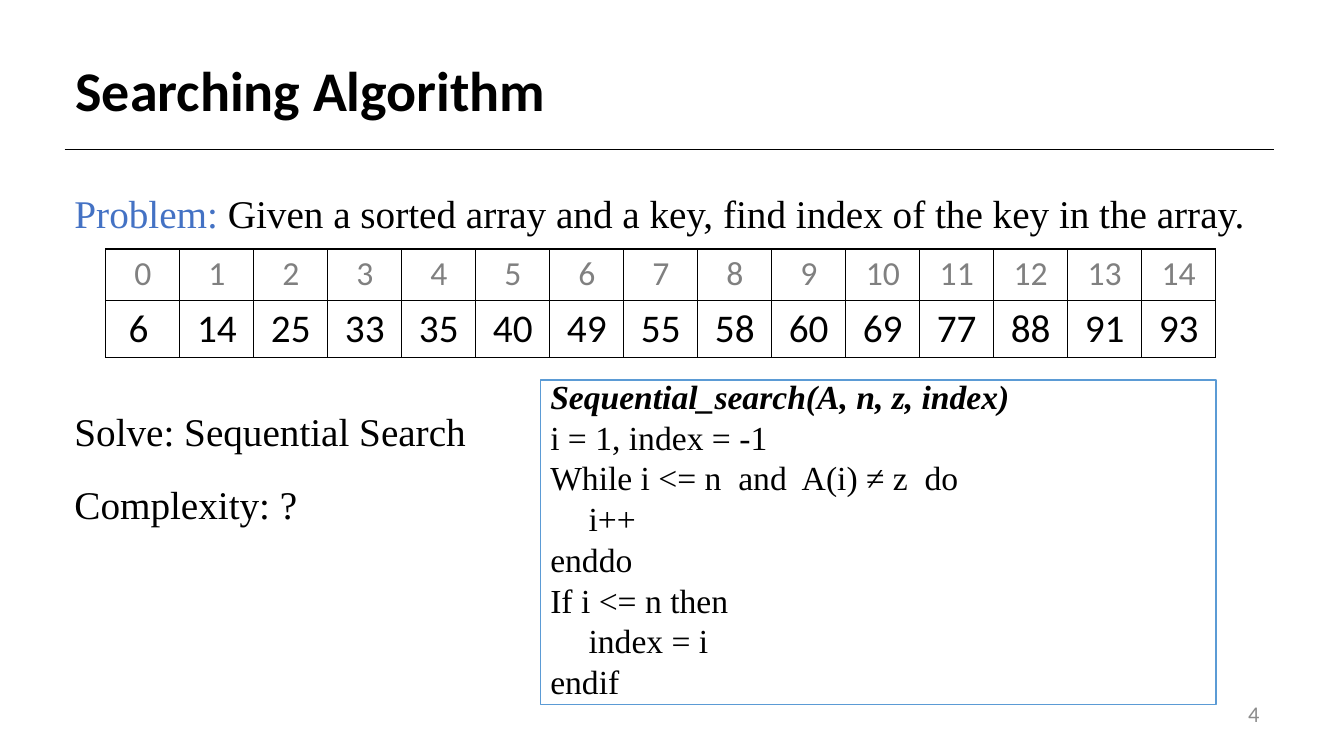
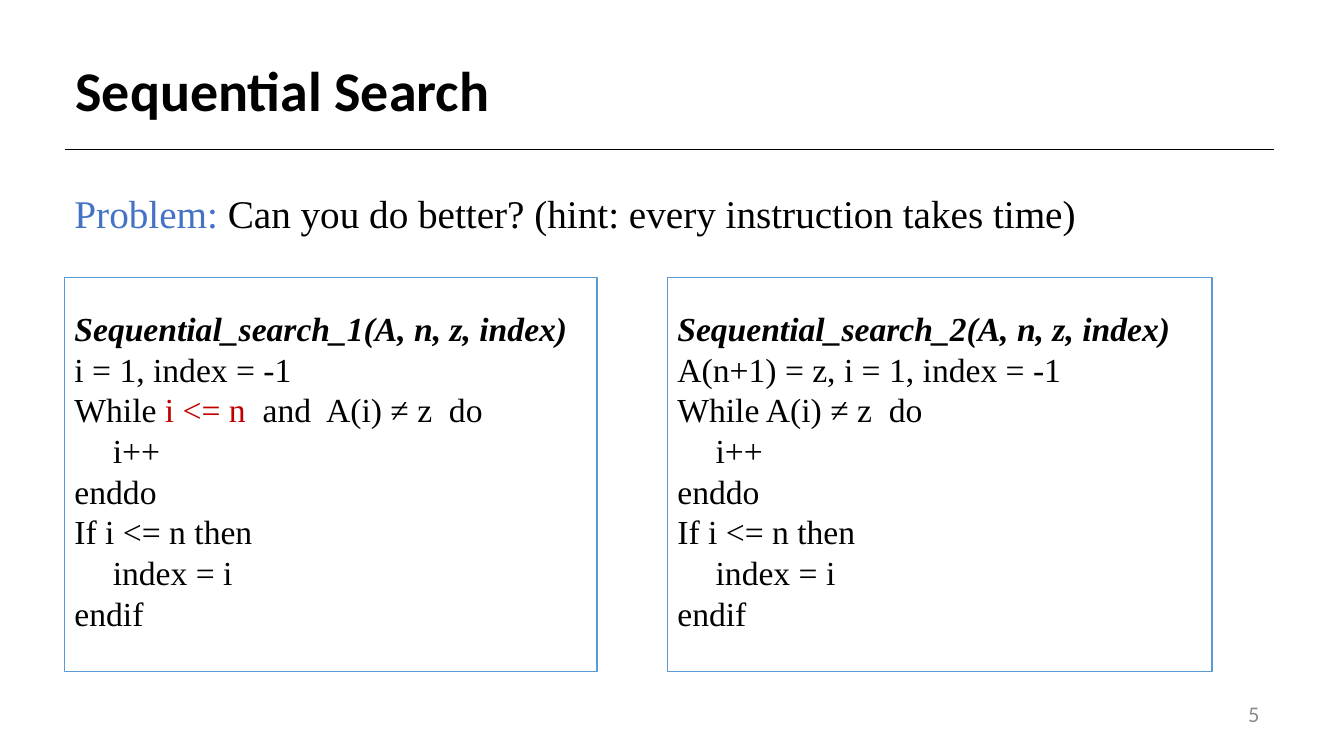
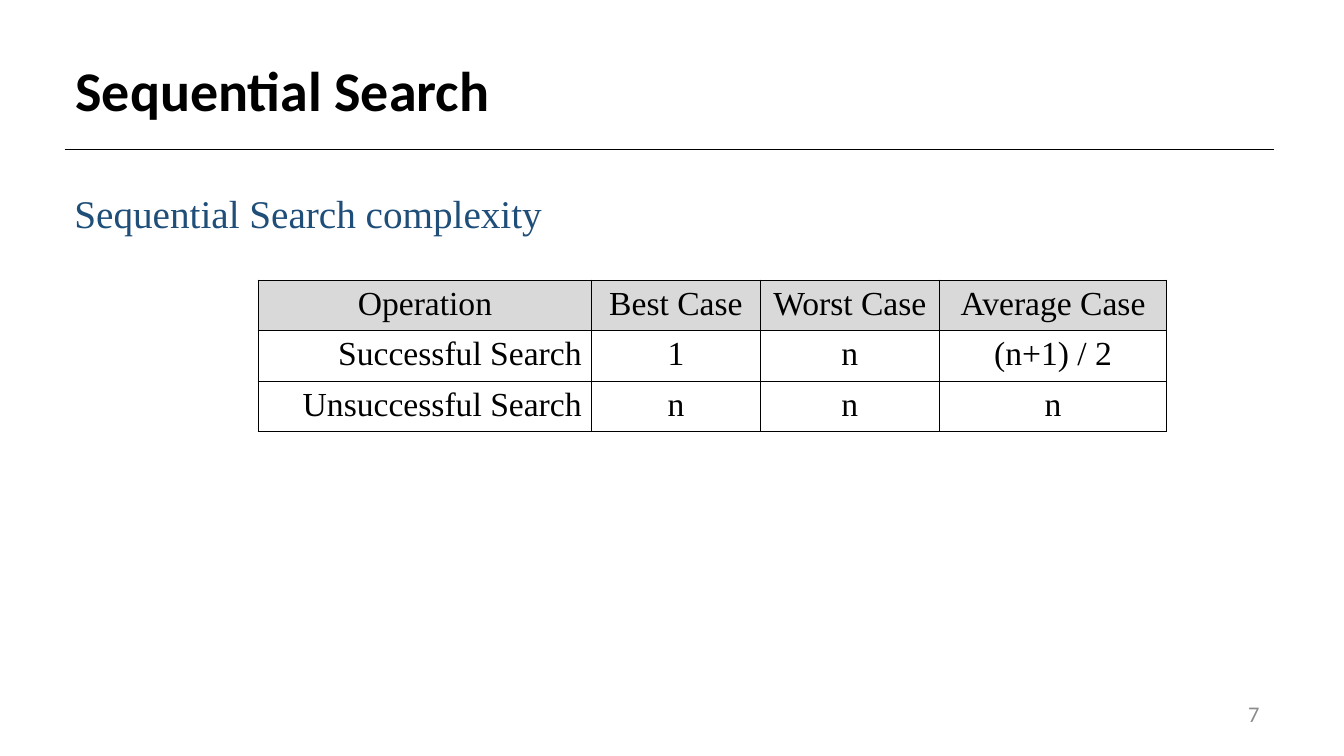
from lxml import etree
from pptx import Presentation
from pptx.dml.color import RGBColor
from pptx.enum.shapes import MSO_CONNECTOR, MSO_SHAPE
from pptx.enum.text import MSO_ANCHOR, PP_ALIGN
from pptx.oxml.ns import qn
from pptx.util import Inches, Pt

LEFT, CENTER, RIGHT = PP_ALIGN.LEFT, PP_ALIGN.CENTER, PP_ALIGN.RIGHT
TOP, MIDDLE = MSO_ANCHOR.TOP, MSO_ANCHOR.MIDDLE
RECTANGLE = MSO_SHAPE.RECTANGLE
STRAIGHT = MSO_CONNECTOR.STRAIGHT

BLACK = RGBColor(0x00, 0x00, 0x00)
WHITE = RGBColor(0xFF, 0xFF, 0xFF)
GRAY = RGBColor(0x80, 0x80, 0x80)
NUMBER_GRAY = RGBColor(0x8C, 0x8C, 0x8C)
HEADER_GRAY = RGBColor(0xD9, 0xD9, 0xD9)
LABEL_BLUE = RGBColor(0x44, 0x72, 0xC4)
DARK_BLUE = RGBColor(0x1F, 0x4E, 0x79)
BORDER_BLUE = RGBColor(0x5B, 0x9B, 0xD5)
RED = RGBColor(0xC0, 0x00, 0x00)

SANS, SERIF = "Calibri", "Times New Roman"
CODE_INDENT = Inches(0.38)
BODY_TOP = 1.71

INDEX_ROW = [str(index) for index in range(15)]
ARRAY_ROW = ["6 ", "14", "25", "33", "35", "40", "49", "55",
             "58", "60", "69", "77", "88", "91", "93"]
COMPLEXITY_ROWS = [
    ["Operation", "Best Case", "Worst Case", "Average Case"],
    ["Successful Search", "1", "n", "(n+1) / 2"],
    ["Unsuccessful Search", "n", "n", "n"],
]
SEARCH_TAIL = ["\ti++", "enddo", "If i <= n then", "\tindex = i", "endif"]


# Text
def add_run(paragraph, text, size, font=SERIF, color=BLACK, bold=False, italic=False):
    run = paragraph.add_run()
    run.text = text
    run.font.size = Pt(size)
    run.font.name = font
    run.font.color.rgb = color
    run.font.bold = bold
    run.font.italic = italic


def next_paragraph(frame, position, space_before):
    if position == 0:
        return frame.paragraphs[0]
    paragraph = frame.add_paragraph()
    paragraph.space_before = Pt(space_before)
    return paragraph


def add_text_frame(slide, left, top, width, height, anchor=TOP):
    box = slide.shapes.add_textbox(Inches(left), Inches(top), Inches(width), Inches(height))
    frame = box.text_frame
    frame.word_wrap = True
    frame.vertical_anchor = anchor
    return frame


def add_body(slide, paragraphs, top=BODY_TOP, width=11.95, height=0.75):
    """Each paragraph is a list of (text, color) pairs."""
    frame = add_text_frame(slide, 0.64, top, width, height)
    for position, runs in enumerate(paragraphs):
        paragraph = next_paragraph(frame, position, 10)
        paragraph.line_spacing = 1.25
        for text, color in runs:
            add_run(paragraph, text, 28, color=color)


# Parts shared by all slides
def add_base_slide(presentation, title, number):
    slide = presentation.slides.add_slide(presentation.slide_layouts[6])
    rule = slide.shapes.add_connector(
        STRAIGHT, Inches(0.64), Inches(1.48), Inches(12.64), Inches(1.48))
    rule.line.color.rgb = BLACK
    rule.line.width = Pt(0.5)
    etree.SubElement(rule.element.spPr, qn("a:effectLst"))

    paragraph = add_text_frame(slide, 0.65, 0.4, 11.95, 1.06, MIDDLE).paragraphs[0]
    paragraph.line_spacing = 0.9
    add_run(paragraph, title, 40, SANS, bold=True)

    paragraph = add_text_frame(slide, 9.59, 6.88, 3, 0.4, MIDDLE).paragraphs[0]
    paragraph.alignment = RIGHT
    add_run(paragraph, str(number), 16, SANS, NUMBER_GRAY)
    return slide


# Pseudocode
def add_code_box(slide, left, top, width, height, heading, lines):
    """A line is a string, or a list of (text, color) pairs."""
    box = slide.shapes.add_shape(
        RECTANGLE, Inches(left), Inches(top), Inches(width), Inches(height))
    box.shadow.inherit = False
    box.fill.solid()
    box.fill.fore_color.rgb = WHITE
    box.line.color.rgb = BORDER_BLUE
    box.line.width = Pt(1)
    frame = box.text_frame
    frame.word_wrap = True
    frame.vertical_anchor = MIDDLE
    for position, line in enumerate([heading] + lines):
        paragraph = next_paragraph(frame, position, 6)
        paragraph.alignment = LEFT
        paragraph.line_spacing = 0.8
        properties = paragraph._p.get_or_add_pPr()
        properties.set("marL", str(CODE_INDENT))
        properties.set("indent", str(-CODE_INDENT))
        is_heading = position == 0
        for text, color in [(line, BLACK)] if isinstance(line, str) else line:
            add_run(paragraph, text, 24, color=color, bold=is_heading, italic=is_heading)


# Tables
def add_borders(cell):
    properties = cell._tc.get_or_add_tcPr()
    for side in ("lnL", "lnR", "lnT", "lnB"):
        line = etree.SubElement(properties, qn("a:" + side), w=str(Pt(1)))
        fill = etree.SubElement(line, qn("a:solidFill"))
        etree.SubElement(fill, qn("a:srgbClr"), val=str(BLACK))


def add_grid(slide, left, top, column_widths, row_heights):
    frame = slide.shapes.add_table(
        len(row_heights), len(column_widths), Inches(left), Inches(top),
        Inches(sum(column_widths)), Inches(sum(row_heights)))
    table = frame.table
    table.first_row = table.horz_banding = False
    for column, width in zip(table.columns, column_widths):
        column.width = Inches(width)
    for row, height in zip(table.rows, row_heights):
        row.height = Inches(height)
    return table


def fill_cell(cell, text, size, font=SERIF, color=BLACK, alignment=CENTER, fill=None):
    add_borders(cell)
    if fill is None:
        cell.fill.background()
    else:
        cell.fill.solid()
        cell.fill.fore_color.rgb = fill
    paragraph = cell.text_frame.paragraphs[0]
    paragraph.alignment = alignment
    add_run(paragraph, text, size, font, color)


def add_array_table(slide):
    table = add_grid(slide, 1.05, 2.47, [11.01 / 15] * 15, [0.51, 0.57])
    for column, (index, value) in enumerate(zip(INDEX_ROW, ARRAY_ROW)):
        fill_cell(table.cell(0, column), index, 24, SANS, GRAY)
        fill_cell(table.cell(1, column), value, 28, SANS)


def add_complexity_table(slide):
    table = add_grid(slide, 2.56, 2.78, [3.31, 1.67, 1.78, 2.25], [0.47] * 3)
    for row, texts in enumerate(COMPLEXITY_ROWS):
        for column, text in enumerate(texts):
            is_row_label = row > 0 and column == 0
            fill_cell(table.cell(row, column), text, 24,
                      alignment=RIGHT if is_row_label else CENTER,
                      fill=HEADER_GRAY if row == 0 else None)


# Slides
def build_searching_algorithm(presentation):
    slide = add_base_slide(presentation, "Searching Algorithm", 4)
    add_body(slide, [[
        ("Problem:", LABEL_BLUE),
        (" Given a sorted array and a key, find index of the key in the array.", BLACK)]])
    add_body(slide, [[("Solve: Sequential Search", BLACK)], [("Complexity: ?", BLACK)]],
             top=3.88, width=4.6, height=1.5)
    add_array_table(slide)
    add_code_box(slide, 5.36, 3.77, 6.7, 3.22, "Sequential_search(A, n, z, index)",
                 ["i = 1, index = -1", "While i <= n  and  A(i) ≠ z  do"] + SEARCH_TAIL)


def build_search_comparison(presentation):
    slide = add_base_slide(presentation, "Sequential Search", 5)
    add_body(slide, [[
        ("Problem:", LABEL_BLUE),
        (" Can you do better? (hint: every instruction takes time)", BLACK)]])
    condition = [("While ", BLACK), ("i <= n  ", RED), ("and  A(i) ≠ z  do", BLACK)]
    add_code_box(slide, 0.64, 2.75, 5.28, 3.91, "Sequential_search_1(A, n, z, index)",
                 ["i = 1, index = -1", condition] + SEARCH_TAIL)
    add_code_box(slide, 6.62, 2.75, 5.4, 3.91, "Sequential_search_2(A, n, z, index)",
                 ["A(n+1) = z, i = 1, index = -1", "While A(i) ≠ z  do"] + SEARCH_TAIL)


def build_complexity(presentation):
    slide = add_base_slide(presentation, "Sequential Search", 7)
    add_body(slide, [[("Sequential Search complexity", DARK_BLUE)]])
    add_complexity_table(slide)


def main():
    presentation = Presentation()
    presentation.slide_width = Inches(13.33)
    presentation.slide_height = Inches(7.5)
    build_searching_algorithm(presentation)
    build_search_comparison(presentation)
    build_complexity(presentation)
    presentation.save("out.pptx")


if __name__ == "__main__":
    main()
